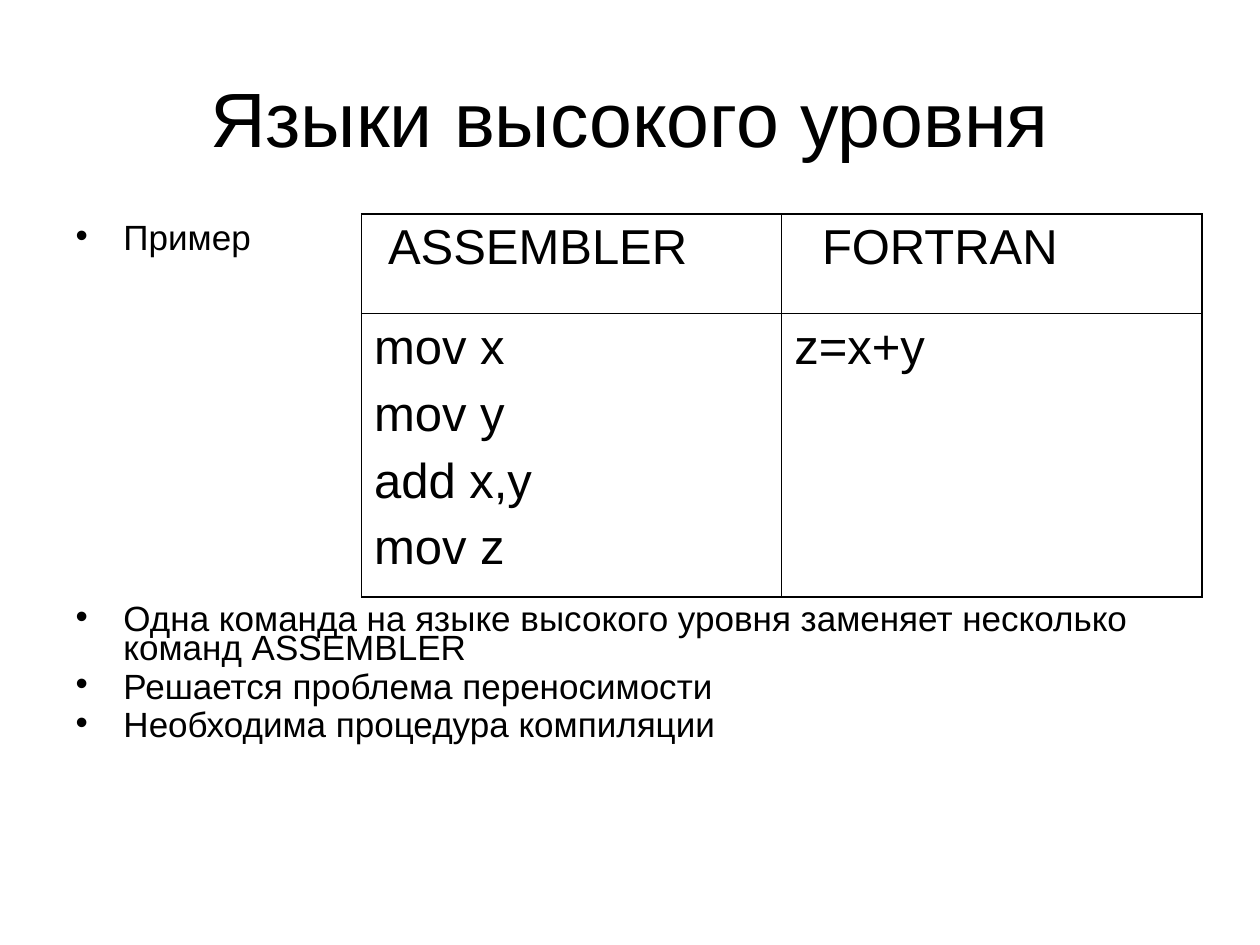
import pptx
import pptx.dml.color
import pptx.enum.text
import pptx.oxml.ns
import pptx.util
import lxml.etree

Inches, Pt = pptx.util.Inches, pptx.util.Pt
COLORS = {"text": "000000", "border": "000000", "background": "FFFFFF"}
FONT = "Arial"
OUTER_BORDER, INNER_BORDER = Pt(1.08), Pt(0.45)


def format_text(frame, size):
    for para in frame.paragraphs:
        for span in para.runs:
            span.font.name = FONT
            span.font.size = Pt(size)
            span.font.color.rgb = pptx.dml.color.RGBColor.from_string(COLORS["text"])


def add_element(parent, tag, **attributes):
    return lxml.etree.SubElement(parent, pptx.oxml.ns.qn(tag), attributes)


deck = pptx.Presentation()
deck.slide_width, deck.slide_height = Inches(10), Inches(7.5)
page = deck.slides.add_slide(deck.slide_layouts[1])
page.background.fill.solid()
page.background.fill.fore_color.rgb = pptx.dml.color.RGBColor.from_string(COLORS["background"])
margin = deck.slide_width * 0.05
content_width = deck.slide_width * 0.9

# Title
title = page.shapes.title
title.left, title.top = int(margin), int(deck.slide_height * 0.04)
title.width, title.height = int(content_width), Inches(1.25)
title.text_frame.text = "Языки высокого уровня"
title.text_frame.vertical_anchor = pptx.enum.text.MSO_ANCHOR.MIDDLE
title.text_frame.auto_size = pptx.enum.text.MSO_AUTO_SIZE.NONE
title.text_frame.paragraphs[0].alignment = pptx.enum.text.PP_ALIGN.CENTER
format_text(title.text_frame, 44)

# Bullets: the second one starts below the table
bullets = [
    ("Пример", 0),
    ("Одна команда на языке высокого уровня заменяет несколько команд ASSEMBLER", 201),
    ("Решается проблема переносимости", 5),
    ("Необходима процедура компиляции", 5),
]
body = page.placeholders[1]
body.left, body.top = int(margin), Inches(1.75)
body.width, body.height = int(content_width), int(deck.slide_height * 0.66)
body.text_frame.auto_size = pptx.enum.text.MSO_AUTO_SIZE.NONE
body.text_frame.text = "\n".join(text for text, gap in bullets)
for para, (text, gap) in zip(body.text_frame.paragraphs, bullets):
    para.line_spacing = 0.7
    para.space_before = Pt(gap)
    properties = para._p.get_or_add_pPr()
    properties.set("marL", str(Inches(0.38)))
    properties.set("indent", str(-Inches(0.38)))
    bullet_color = add_element(properties, "a:buClr")
    add_element(bullet_color, "a:srgbClr", val=COLORS["text"])
    add_element(properties, "a:buFont", typeface=FONT)
    add_element(properties, "a:buChar", char="•")
format_text(body.text_frame, 20)

# Comparison table
rows = [
    ["ASSEMBLER", "FORTRAN"],
    ["mov x\nmov y\nadd x,y\nmov z", "z=x+y"],
]
row_heights = [0.79, 2.25]
header_insets = [0.21, 0.32]
table = page.shapes.add_table(
    2, 2, Inches(2.87), Inches(1.7), Inches(6.67), Inches(sum(row_heights))
).table
table.first_row = table.horz_banding = False
for row_index, row in enumerate(rows):
    table.rows[row_index].height = Inches(row_heights[row_index])
    for column_index, text in enumerate(row):
        cell = table.cell(row_index, column_index)
        cell.text_frame.text = text
        cell.margin_left = Inches(header_insets[column_index] if row_index == 0 else 0.1)
        for para in cell.text_frame.paragraphs[1:]:
            para.space_before = Pt(7)
        format_text(cell.text_frame, 28)

        outer_sides = {"a:lnL": column_index == 0, "a:lnR": column_index == 1,
                       "a:lnT": row_index == 0, "a:lnB": row_index == 1}
        properties = cell._tc.get_or_add_tcPr()
        for side, is_outer in outer_sides.items():
            line = add_element(properties, side, w=str(OUTER_BORDER if is_outer else INNER_BORDER))
            line_fill = add_element(line, "a:solidFill")
            add_element(line_fill, "a:srgbClr", val=COLORS["border"])
        cell.fill.background()

deck.save("out.pptx")
